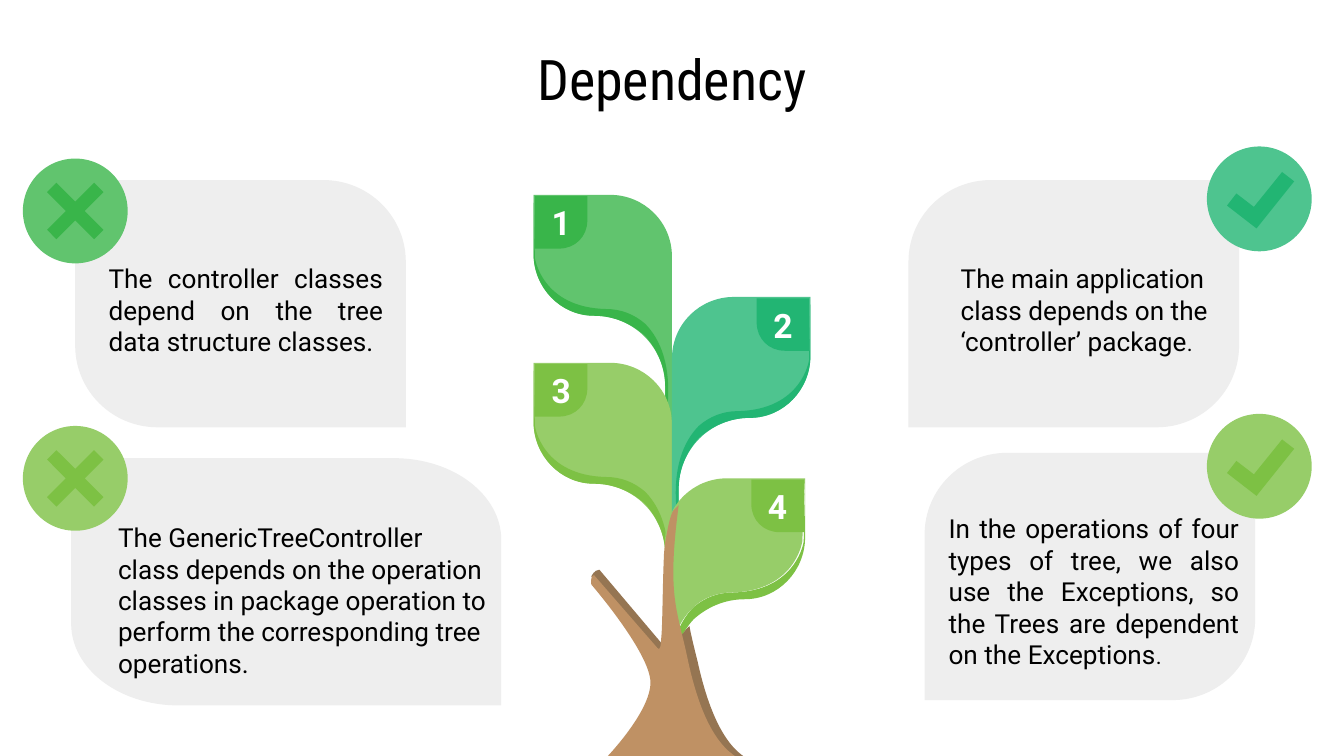
from lxml.etree import SubElement
from pptx import Presentation
from pptx.dml.color import RGBColor
from pptx.enum.shapes import MSO_SHAPE as Shape
from pptx.enum.text import MSO_ANCHOR as Anchor, PP_ALIGN as Align
from pptx.oxml.ns import qn
from pptx.util import Cm, Pt

COLORS = {
    "black": "000000", "white": "FFFFFF", "card": "EEEEEE",
    "green": "61C46E", "green_dark": "39B54A",
    "teal": "4EC48F", "teal_dark": "22B573",
    "lime": "97CD69", "lime_dark": "7DC144",
    "bark": "BF9164", "bark_dark": "957552",
}

# Outlines hold (x, y) corners and (x1, y1, x2, y2, x, y) curves, in inches.
BLADE = [(0, 0), (0, .44), (0, .69, .2, .9, .45, .9), (.75, .9, .98, 1.14, .98, 1.43),
         (.98, 1.88), (1.03, 1.88), (1.03, .46), (1.03, .2, .82, 0, .57, 0)]
SHORT_BLADE = [(.58, 0), (.83, 0, 1.04, .2, 1.04, .46), (1.04, 1.7), (.99, 1.7),
               (1.06, 1.29, .95, 1.07, .83, .96), (.76, .89, .65, .85, .55, .85),
               (.07, .84, .02, .47, .02, .47), (0, 0)]
SHADE = [(0, 0), (0, .44), (0, .69, .2, .9, .45, .9), (.6, .9, .73, .96, .83, 1.05),
         (.92, 1.15, .98, 1.28, .98, 1.43), (.98, 1.7), (1.05, 1.29, .94, 1.07, .83, .96),
         (.75, .89, .65, .85, .54, .85), (.06, .84, .01, .47, .01, .47)]
BADGE = [(.01, .01), (.01, .4), (.19, .4), (.31, .4, .4, .31, .4, .19), (.4, .01)]
CARD = [(0, 0), (0, .67), (0, .85, .11, 1, .25, 1), (1, 1), (1, .33),
        (1, .15, .89, 0, .75, 0)]
CROSS = [(.35, 0), (.21, .14), (.07, 0), (0, .07), (.14, .21), (0, .35), (.07, .42),
         (.21, .28), (.35, .42), (.42, .35), (.28, .21), (.42, .07)]
CHECK = [(.41, 0), (.2, .26), (.07, .16), (0, .25), (.22, .42), (.5, .07)]
TRUNK_SHADE = [(4.46, 4.24), (4.42, 4.24, 4.4, 4.29, 4.4, 4.29),
               (4.4, 4.29, 4.9, 4.86, 4.9, 5.08), (4.9, 5.3, 4.58, 5.64, 4.58, 5.64),
               (5.55, 5.64), (5.37, 5.53, 5.26, 5.24, 5.19, 4.92),
               (5.17, 4.84, 5.14, 4.72, 5.13, 4.66), (5.08, 4.7, 5.08, 4.74, 5.04, 4.74),
               (4.99, 4.74), (4.98, 4.81, 4.97, 4.83, 4.96, 4.83), (4.95, 4.82)]
TRUNK = [(5.05, 3.76), (5.05, 3.76, 5.04, 3.77, 5.01, 3.8),
         (4.98, 3.84, 4.94, 4.07, 4.94, 4.14), (4.93, 4.36, 4.93, 4.67, 4.92, 4.75),
         (4.92, 4.81, 4.91, 4.83, 4.9, 4.83), (4.89, 4.82), (4.42, 4.28),
         (4.39, 4.28, 4.4, 4.35, 4.4, 4.35), (4.4, 4.35, 4.84, 4.86, 4.84, 5.08),
         (4.84, 5.3, 4.51, 5.64, 4.51, 5.64), (5.49, 5.64),
         (5.3, 5.53, 5.19, 5.24, 5.12, 4.92), (5.04, 4.53, 4.96, 4.45, 5.05, 3.76)]

LEAVES = [
    ("1", 3.97, 1.45, 1, "green", BLADE),
    ("3", 3.97, 2.7, 1, "lime", BLADE),
    ("2", 6.03, 2.21, -1, "teal", BLADE),
    ("4", 5.99, 3.56, -1, "lime", SHORT_BLADE),
]
CARDS = [
    (.56, 1.34, 2.46, 1, .17, 1.18, "green", CROSS, (.18, .18)),
    (9.22, 1.34, 2.46, -1, 8.98, 1.09, "teal", CHECK, (.15, .19)),
    (.53, 3.41, 3.2, 1, .17, 3.17, "lime", CROSS, (.18, .18)),
    (9.34, 3.37, 2.46, -1, 8.98, 3.08, "lime", CHECK, (.15, .19)),
]
CARD_H, DISC = 1.84, .78
TEXTS = [
    ((.71, 1.64, 2.24, 1.33), Align.JUSTIFY, "",
     ["The controller classes depend on the tree data structure classes."]),
    ((.78, 3.77, 2.95, 1.39), Align.LEFT, "",
     ["The GenericTreeController\vclass depends on the operation classes in package operation to",
      "perform the corresponding tree operations."]),
    ((7.05, 1.64, 2.17, 1.33), Align.LEFT, ".",
     ["The main application class depends on the ‘controller’ package"]),
    ((6.96, 3.84, 2.36, 1.12), Align.JUSTIFY, ".",
     ["In the operations of four types of tree, we also use the Exceptions, "
      "so the Trees are dependent on the Exceptions"]),
]


def inches(v):
    return Cm(v * 2.54)


def rgb(name):
    return RGBColor.from_string(COLORS[name])


def paint(sp, color):
    sp.shadow.inherit = False
    sp.fill.solid()
    sp.fill.fore_color.rgb = rgb(color)
    sp.line.fill.background()
    return sp


def bend(sp, outline):
    geometry = next(sp.element.iter(qn("a:path")))
    lines = iter(geometry.findall(qn("a:lnTo")))
    for seg in outline[1:]:
        line = next(lines)
        if len(seg) == 6:
            curve = SubElement(geometry, qn("a:cubicBezTo"))
            line.addprevious(curve)
            for part in (line, next(lines), next(lines)):
                curve.append(part[0])
                geometry.remove(part)


def draw(outline, color, x=0, y=0, sx=1, sy=1):
    pts = [(inches(x + sx * seg[i]), inches(y + sy * seg[i + 1]))
           for seg in outline for i in range(0, len(seg), 2)]
    fb = s.shapes.build_freeform(*pts[0])
    fb.add_line_segments(pts[1:], close=True)
    sp = fb.convert_to_shape()
    bend(sp, outline)
    return paint(sp, color)


def style(r, size, color="black", font="Roboto", bold=False):
    r.font.size, r.font.name, r.font.bold = Pt(size), font, bold
    r.font.color.rgb = rgb(color)


def write(sp, paragraphs, align, size, stop="", **look):
    tf = sp.text_frame
    tf.word_wrap = True
    tf.vertical_anchor = Anchor.MIDDLE
    tf.margin_left = tf.margin_right = tf.margin_top = tf.margin_bottom = inches(.1)
    for i, text in enumerate(paragraphs):
        p = tf.add_paragraph() if i else tf.paragraphs[0]
        p.text, p.alignment = text, align
        for r in p.runs:
            style(r, size, **look)
    if stop:
        r = p.add_run()
        r.text = stop
        style(r, 12, **look)


def text_box(box, *args, **look):
    write(s.shapes.add_textbox(*map(inches, box)), *args, **look)


prs = Presentation()
prs.slide_width, prs.slide_height = Cm(25.4), Cm(14.29)
s = prs.slides.add_slide(prs.slide_layouts[6])

text_box((1.4, .32, 7.2, .53), ["Dependency"], Align.CENTER, 30, font="Roboto Condensed")

for number, x, y, side, color, blade in LEAVES:
    draw(blade, color, x, y, side)
    badge = draw(BADGE, color + "_dark", x, y, side)
    write(badge, [number], Align.CENTER, 18, color="white", bold=True)
    draw(SHADE, color + "_dark", x, y, side)

for x, y, w, side, disc_x, disc_y, color, mark, (dx, dy) in CARDS:
    draw(CARD, "card", x, y, side * w, CARD_H)
    disc = map(inches, (disc_x, disc_y, DISC, DISC))
    paint(s.shapes.add_shape(Shape.OVAL, *disc), color)
    draw(mark, color + "_dark", disc_x + dx, disc_y + dy)

for box, align, stop, paragraphs in TEXTS:
    text_box(box, paragraphs, align, 14, stop)

draw(TRUNK_SHADE, "bark_dark")
draw(TRUNK, "bark")

prs.save("out.pptx")
